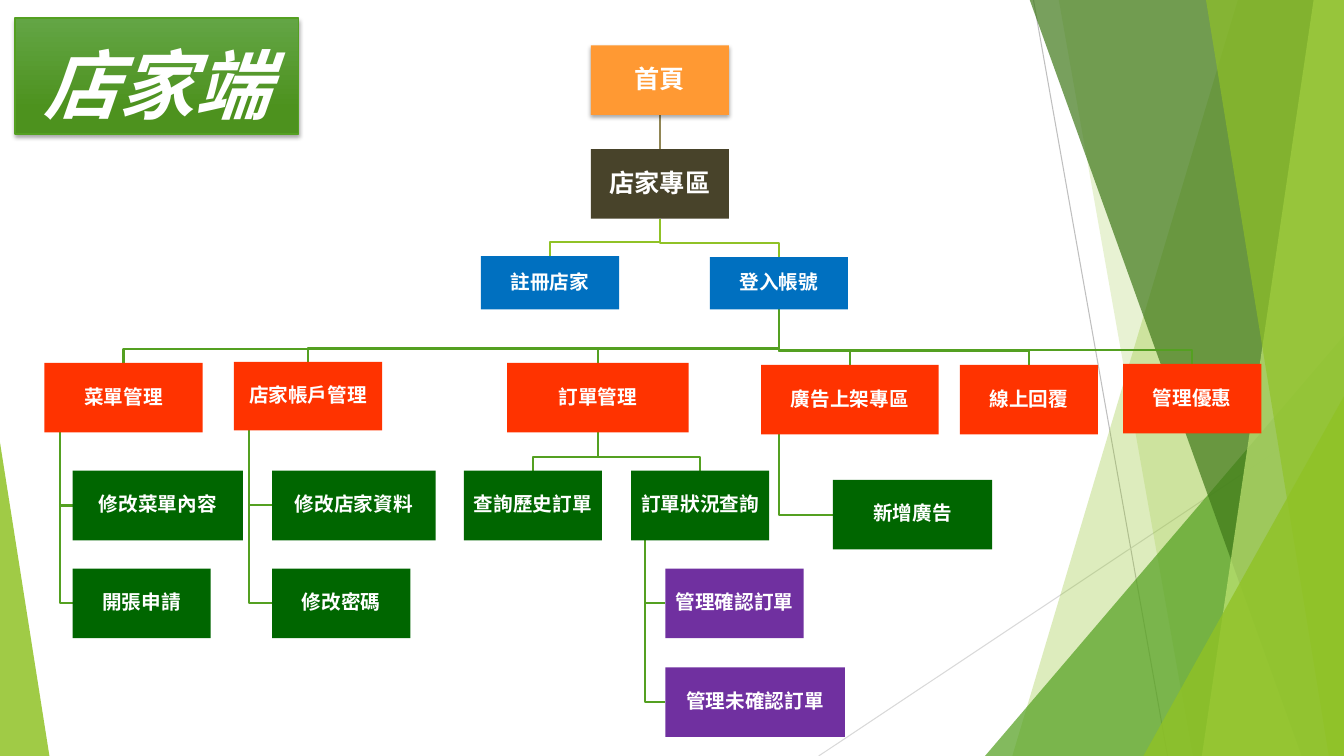
from lxml import etree
from pptx import Presentation
from pptx.dml import color
from pptx.enum import shapes, text
from pptx.oxml import ns
from pptx.util import Inches, Pt

RGBColor = color.RGBColor
WHITE = RGBColor(0xFF, 0xFF, 0xFF)
GREEN = RGBColor(0x54, 0xA0, 0x21)
LIME = RGBColor(0x90, 0xC2, 0x26)
PALE_LIME = RGBColor(0xC0, 0xE4, 0x74)
FOREST = RGBColor(0x3F, 0x78, 0x19)
TITLE_TOP = RGBColor(0x63, 0xA5, 0x45)
TITLE_BOTTOM = RGBColor(0x4D, 0x92, 0x1E)
GRAY = RGBColor(0xBF, 0xBF, 0xBF)
LIGHT_GRAY = RGBColor(0xD9, 0xD9, 0xD9)
KHAKI = RGBColor(0x91, 0x86, 0x55)
ORANGE = RGBColor(0xFF, 0x99, 0x33)
BROWN = RGBColor(0x48, 0x43, 0x2A)
BLUE = RGBColor(0x00, 0x70, 0xC0)
RED = RGBColor(0xFF, 0x33, 0x00)
DARK_GREEN = RGBColor(0x00, 0x66, 0x00)
PURPLE = RGBColor(0x70, 0x30, 0xA0)

presentation = Presentation()
presentation.slide_width = Inches(13.33)
presentation.slide_height = Inches(7.5)
slide = presentation.slides.add_slide(presentation.slide_layouts[5])


def draw_path(points, close):
    corners = [(Inches(x), Inches(y)) for x, y in points]
    builder = slide.shapes.build_freeform(*corners[0])
    builder.add_line_segments(corners[1:], close=close)
    shape = builder.convert_to_shape()
    shape.shadow.inherit = False
    return shape


def write_label(shape, label, size, font_name):
    shape.text_frame.text = label
    paragraph = shape.text_frame.paragraphs[0]
    paragraph.alignment = text.PP_ALIGN.CENTER
    font = paragraph.runs[0].font
    font.size = Pt(size)
    font.bold = True
    font.name = font_name
    font.color.rgb = WHITE
    run_properties = paragraph.runs[0]._r.get_or_add_rPr()
    etree.SubElement(run_properties, ns.qn("a:ea"), typeface=font_name)
    return paragraph


for x1, y1, x2, y2, line_color in [
    (10.25, 0, 11.58, 7.5, GRAY),
    (13.33, 4.03, 8.12, 7.5, LIGHT_GRAY),
]:
    line = slide.shapes.add_connector(
        shapes.MSO_CONNECTOR.STRAIGHT, Inches(x1), Inches(y1), Inches(x2), Inches(y2))
    line.line.color.rgb = line_color
    line.line.width = Pt(0.75)
    etree.SubElement(line._element.spPr, ns.qn("a:effectLst"))

bands = [
    ("band", (12.28, 10.04), LIME, 30),
    ("band", (10.5, 11.83), LIME, 20),
    ("triangle", (9.77, 3.33, 3.56, 4.17, 1), GREEN, 72),
    ("band", (10.21, 12.91), FOREST, 70),
    ("band", (13.03, 11.92), PALE_LIME, 70),
    ("band", (11.96, 13.18), LIME, 65),
    ("triangle", (11.34, 3.93, 1.99, 3.57, 1), LIME, 80),
    ("triangle", (0, 4.39, 0.49, 3.11, 0), LIME, 85),
]
for kind, geometry, fill_color, opacity in bands:
    if kind == "band":
        top_x, bottom_x = geometry
        shape = draw_path(
            [(top_x, -0.01), (13.33, -0.01), (13.33, 7.5), (bottom_x, 7.5)], True)
    else:
        *frame, apex = geometry
        shape = slide.shapes.add_shape(
            shapes.MSO_SHAPE.ISOSCELES_TRIANGLE, *[Inches(v) for v in frame])
        shape.adjustments[0] = apex
        shape.shadow.inherit = False
    shape.fill.solid()
    shape.fill.fore_color.rgb = fill_color
    shape.line.fill.background()
    solid = shape._element.spPr.find(".//" + ns.qn("a:srgbClr"))
    etree.SubElement(solid, ns.qn("a:alpha"), val=str(opacity * 1000))

title = slide.shapes.title
title.left, title.top = Inches(0.15), Inches(0.18)
title.width, title.height = Inches(2.81), Inches(1.15)
title.fill.gradient()
title.fill.gradient_angle = 270
for stop, stop_color, position in zip(
        title.fill.gradient_stops, (TITLE_TOP, TITLE_BOTTOM), (0, 0.78)):
    stop.color.rgb = stop_color
    stop.position = position
title.line.color.rgb = GREEN
title.line.width = Pt(1)
title.text_frame.auto_size = text.MSO_AUTO_SIZE.NONE
title.text_frame.vertical_anchor = text.MSO_ANCHOR.BOTTOM
heading = write_label(title, "店家端", 54, "Noto Sans CJK TC")
heading.runs[0].font.italic = True

boxes = {
    "首頁": (5.86, 0.45, 1.37, 0.69, ORANGE),
    "店家專區": (5.86, 1.48, 1.37, 0.69, BROWN),
    "註冊店家": (4.77, 2.54, 1.37, 0.53, BLUE),
    "登入帳號": (7.04, 2.55, 1.37, 0.52, BLUE),
    "菜單管理": (0.44, 3.6, 1.57, 0.69, RED),
    "修改菜單內容": (0.72, 4.67, 1.69, 0.69, DARK_GREEN),
    "開張申請": (0.72, 5.64, 1.37, 0.69, DARK_GREEN),
    "店家帳戶管理": (2.32, 3.59, 1.47, 0.68, RED),
    "修改店家資料": (2.7, 4.67, 1.62, 0.69, DARK_GREEN),
    "修改密碼": (2.7, 5.64, 1.37, 0.69, DARK_GREEN),
    "訂單管理": (5.03, 3.6, 1.8, 0.69, RED),
    "查詢歷史訂單": (4.6, 4.67, 1.37, 0.69, DARK_GREEN),
    "訂單狀況查詢": (6.26, 4.67, 1.37, 0.69, DARK_GREEN),
    "管理確認訂單": (6.6, 5.64, 1.37, 0.69, PURPLE),
    "管理未確認訂單": (6.6, 6.62, 1.78, 0.69, PURPLE),
    "廣告上架專區": (7.55, 3.62, 1.76, 0.69, RED),
    "新增廣告": (8.26, 4.76, 1.58, 0.69, DARK_GREEN),
    "線上回覆": (9.52, 3.62, 1.37, 0.69, RED),
    "管理優惠": (11.14, 3.61, 1.37, 0.69, RED),
}
branches = [
    ("登入帳號", "down", GREEN,
     ["管理優惠", "線上回覆", "廣告上架專區", "訂單管理", "店家帳戶管理", "菜單管理"]),
    ("廣告上架專區", "side", GREEN, ["新增廣告"]),
    ("訂單狀況查詢", "side", GREEN, ["管理未確認訂單", "管理確認訂單"]),
    ("訂單管理", "down", GREEN, ["訂單狀況查詢", "查詢歷史訂單"]),
    ("店家帳戶管理", "side", GREEN, ["修改密碼", "修改店家資料"]),
    ("菜單管理", "side", GREEN, ["開張申請", "修改菜單內容"]),
    ("店家專區", "down", LIME, ["登入帳號", "註冊店家"]),
    ("首頁", "down", KHAKI, ["店家專區"]),
]
for parent, direction, line_color, children in branches:
    left, top, width, height, _ = boxes[parent]
    bottom = top + height
    for child in children:
        child_left, child_top, child_width, child_height, _ = boxes[child]
        if direction == "down":
            start_x = left + width / 2
            end_x = child_left + child_width / 2
            turn_y = child_top - 0.14
            points = [(start_x, bottom), (start_x, turn_y), (end_x, turn_y), (end_x, child_top)]
        else:
            start_x = left + width / 10
            middle = child_top + child_height / 2
            points = [(start_x, bottom), (start_x, middle), (child_left, middle)]
        link = draw_path(points, False)
        link.fill.background()
        link.line.color.rgb = line_color
        link.line.width = Pt(1.5)

box_shapes = {}
for label, (*frame, fill_color) in boxes.items():
    box = slide.shapes.add_shape(shapes.MSO_SHAPE.RECTANGLE, *[Inches(v) for v in frame])
    box.shadow.inherit = False
    box.fill.solid()
    box.fill.fore_color.rgb = fill_color
    box.line.fill.background()
    frame_text = box.text_frame
    frame_text.word_wrap = True
    frame_text.vertical_anchor = text.MSO_ANCHOR.MIDDLE
    frame_text.margin_left = frame_text.margin_right = Inches(0.01)
    frame_text.margin_top = frame_text.margin_bottom = Inches(0.01)
    size = 18 if label in ("首頁", "店家專區") else 14
    paragraph = write_label(box, label, size, "Karla")
    paragraph.line_spacing = 0.9
    paragraph.space_after = Pt(size * 0.35)
    box_shapes[label] = box

for shape in (title, box_shapes["首頁"]):
    shape.shadow.inherit = False
    effects = shape._element.spPr.find(ns.qn("a:effectLst"))
    shadow = etree.SubElement(
        effects, ns.qn("a:outerShdw"), blurRad=str(Pt(3)), dist=str(Pt(2)),
        dir="5400000", rotWithShape="0")
    shadow_color = etree.SubElement(shadow, ns.qn("a:srgbClr"), val="000000")
    etree.SubElement(shadow_color, ns.qn("a:alpha"), val="35000")

presentation.save("out.pptx")
